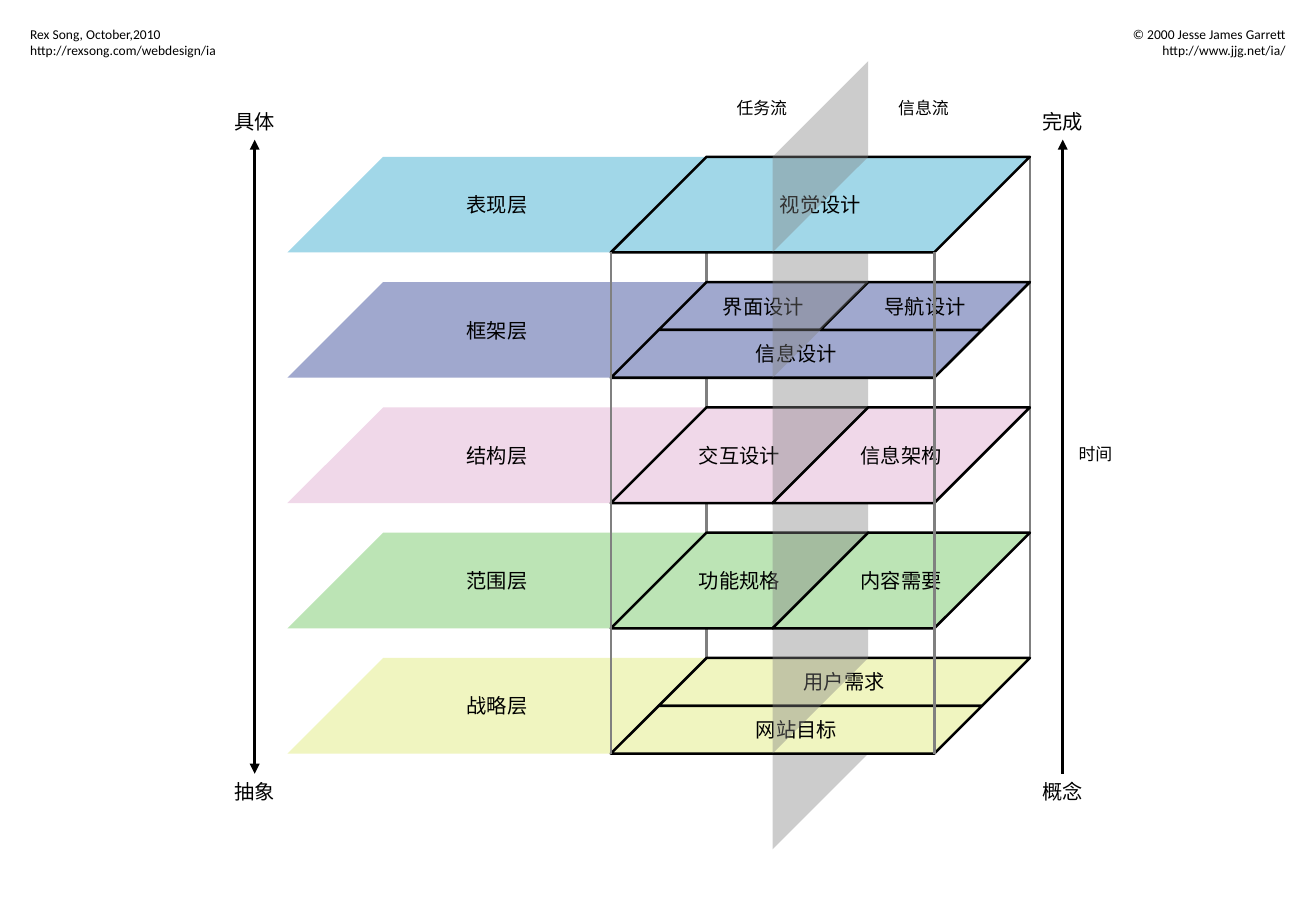
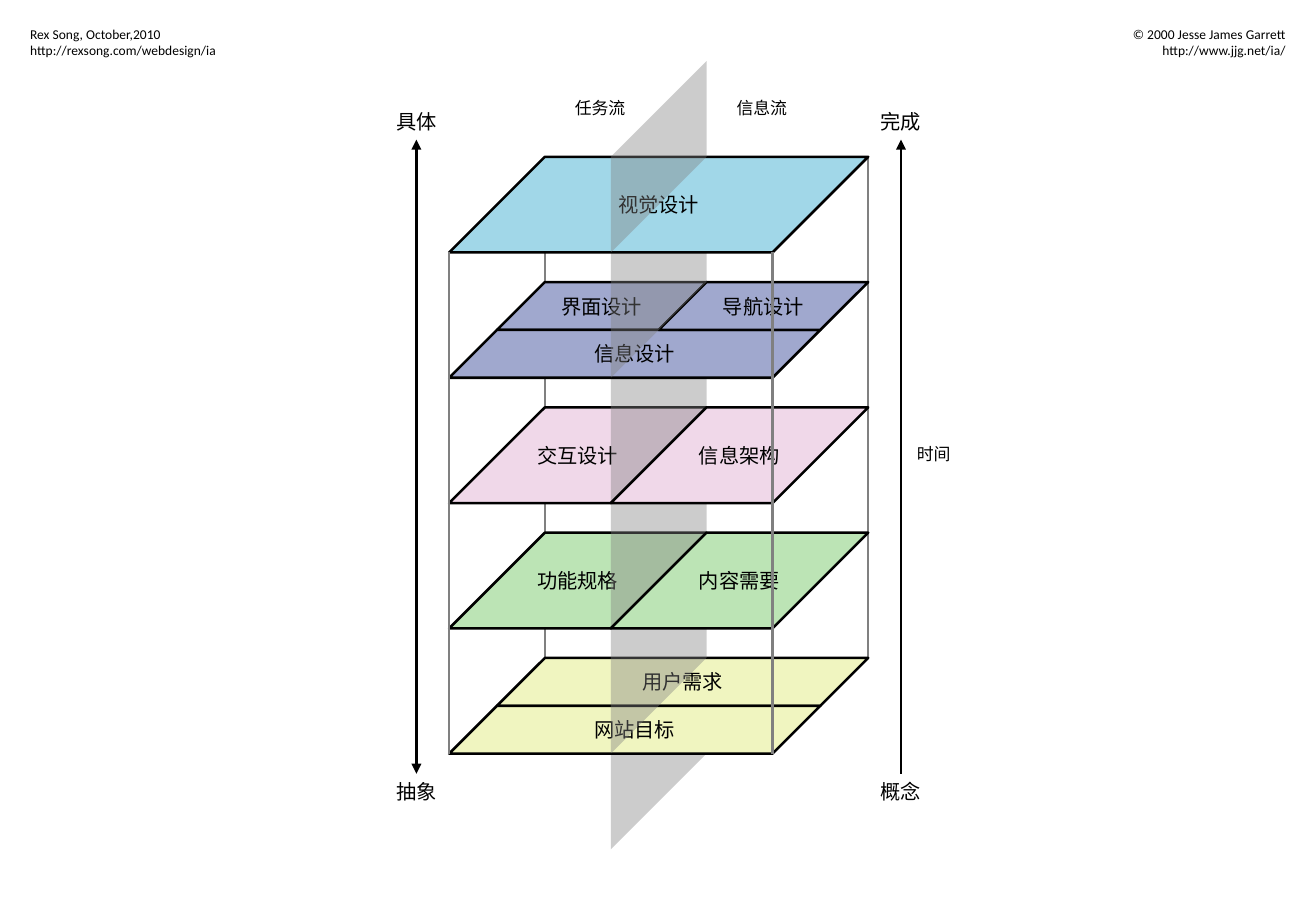
"""Build two slides of the five-plane web design diagram, with and without layer names."""
from dataclasses import dataclass

from lxml.etree import SubElement
from pptx import Presentation
from pptx.dml.color import RGBColor
from pptx.enum.shapes import MSO_CONNECTOR as Connector, MSO_SHAPE as Preset
from pptx.enum.text import MSO_ANCHOR as Anchor, PP_ALIGN as Align
from pptx.oxml.ns import qn
from pptx.util import Cm, Pt


@dataclass(frozen=True)
class Theme:
    """Colours, fonts, type sizes and line width."""
    ink: str = "000000"
    grey: str = "808080"
    plane_alpha: int = 40000
    chinese: str = "Noto Sans CJK SC"
    latin: str = "Calibri"
    label: int = 12
    note: int = 10
    credit: int = 8
    stroke: float = 1.5


THEME = Theme()

# Layer name, colour, cells behind the dividing plane, cells in front of it.
# Cell: text, left, right, back, front as fractions of the layer.
LAYERS = [
    ("表现层", "A1D7E8", [("视觉设计", 0, 1, 0, 1)], []),
    ("框架层", "A0A8CE", [("界面设计", 0, 0.5, 0, 0.5), ("信息设计", 0, 1, 0.5, 1),
                       ("导航设计", 0.5, 1, 0, 0.5)], []),
    ("结构层", "F0D8E9", [("交互设计", 0, 0.5, 0, 1)], [("信息架构", 0.5, 1, 0, 1)]),
    ("范围层", "BCE4B5", [("功能规格", 0, 0.5, 0, 1)], [("内容需要", 0.5, 1, 0, 1)]),
    ("战略层", "F0F5C0", [("用户需求", 0, 1, 0, 0.5), ("网站目标", 0, 1, 0.5, 1)], []),
]
FLOWS = ["任务流", "信息流"]
LEFT_AXIS = ("具体", "抽象")
RIGHT_AXIS = ("完成", "概念")
TIME = "时间"
AUTHOR = ["Rex Song, October,2010", "http://rexsong.com/webdesign/ia"]
SOURCE = ["© 2000 Jesse James Garrett", "http://www.jjg.net/ia/"]
DIAGRAMS = [(12.77, True), (9.39, False)]

PAGE_W, PAGE_H = 27.51, 19.05
SPAN, DEPTH, PITCH, TOP = 6.76, 2.0, 2.62, 3.28
AXIS_TOP, AXIS_END = 2.92, 16.18
END_W, END_H = 1.37, 0.76
MARGIN = 0.38


def rgb(value):
    return RGBColor.from_string(value)


def write(frame, lines, size, font=THEME.chinese, align=Align.CENTER, inset=0):
    frame.word_wrap = False
    frame.vertical_anchor = Anchor.MIDDLE
    frame.margin_top = frame.margin_bottom = 0
    frame.margin_left = frame.margin_right = Cm(inset)
    for number, line in enumerate(lines):
        paragraph = frame.add_paragraph() if number else frame.paragraphs[0]
        paragraph.alignment = align
        run = paragraph.add_run()
        run.text = line
        run.font.size = Pt(size)
        run.font.color.rgb = rgb(THEME.ink)
        run.font.name = font
        SubElement(run.font._element, qn("a:ea"), typeface=font)


def add_text(slide, lines, left, top, width, height, size, **style):
    box = slide.shapes.add_textbox(Cm(left), Cm(top), Cm(width), Cm(height))
    write(box.text_frame, lines, size, inset=0.25, **style)


def add_slant(slide, left, top, width, height, colour):
    slant = slide.shapes.add_shape(Preset.PARALLELOGRAM, Cm(left), Cm(top), Cm(width), Cm(height))
    slant.adjustments[0] = 1.0
    slant.shadow.inherit = False
    slant.fill.solid()
    slant.fill.fore_color.rgb = rgb(colour)
    slant.line.fill.background()
    return slant


def add_cell(slide, stack_left, layer_top, colour, cell):
    text, left, right, back, front = cell
    slant = add_slant(slide, stack_left + SPAN * left + DEPTH * (1 - front),
                      layer_top + DEPTH * back,
                      SPAN * (right - left) + DEPTH * (front - back),
                      DEPTH * (front - back), colour)
    slant.line.color.rgb = rgb(THEME.ink)
    slant.line.width = Pt(THEME.stroke)
    write(slant.text_frame, [text], THEME.label)


def add_plane(slide, left, top, height):
    middle_x, middle_y = left + DEPTH / 2, top + height / 2
    plane = add_slant(slide, middle_x - height / 2, middle_y - DEPTH / 2,
                      height, DEPTH, THEME.grey)
    plane.rotation = 90
    properties = plane.element.spPr
    properties.find(qn("a:xfrm")).set("flipV", "1")
    tint = properties.find(qn("a:solidFill")).find(qn("a:srgbClr"))
    SubElement(tint, qn("a:alpha"), val=str(THEME.plane_alpha))


def add_upright(slide, x, top, bottom, colour, arrows=()):
    upright = slide.shapes.add_connector(Connector.STRAIGHT, Cm(x), Cm(top), Cm(x), Cm(bottom))
    upright.line.color.rgb = rgb(colour)
    upright.line.width = Pt(THEME.stroke)
    properties = upright.element.spPr
    for arrow in arrows:
        SubElement(properties.find(qn("a:ln")), qn(arrow), type="triangle")
    SubElement(properties, qn("a:effectLst"))


def add_axis(slide, left, ends, arrows):
    add_upright(slide, left + END_W / 2, AXIS_TOP, AXIS_END, THEME.ink, arrows)
    for text, top in zip(ends, (AXIS_TOP - END_H, AXIS_END)):
        add_text(slide, [text], left, top, END_W, END_H, THEME.label)


def add_stack(slide, left, named):
    tops = [TOP + PITCH * number for number in range(len(LAYERS))]
    plane_left = left + SPAN / 2
    add_plane(slide, plane_left, tops[-1], 2 * DEPTH)
    if named:
        for (name, colour, _, _), top in zip(LAYERS, tops):
            band = add_slant(slide, left - SPAN, top, SPAN + DEPTH, DEPTH, colour)
            write(band.text_frame, [name], THEME.label)
    for x in (left, left + SPAN):
        add_upright(slide, x + DEPTH, tops[0], tops[-1], THEME.grey)
    for number in reversed(range(len(LAYERS))):
        _, colour, behind, ahead = LAYERS[number]
        for cell in behind:
            add_cell(slide, left, tops[number], colour, cell)
        rise = PITCH if number else DEPTH
        add_plane(slide, plane_left, tops[number] - rise, rise + DEPTH)
        for cell in ahead:
            add_cell(slide, left, tops[number], colour, cell)
    for x in (left, left + SPAN):
        add_upright(slide, x, tops[0] + DEPTH, tops[-1] + DEPTH, THEME.grey)
    for number, flow in enumerate(FLOWS):
        add_text(slide, [flow], left + 2.37 + number * SPAN / 2, 1.9, 1.57, 0.69, THEME.note)


def add_credits(slide):
    for lines, left, width, align in (
            (AUTHOR, MARGIN, 4.47, Align.LEFT),
            (SOURCE, PAGE_W - MARGIN - 3.71, 3.71, Align.RIGHT)):
        add_text(slide, lines, left, 0.41, width, 0.94, THEME.credit,
                 font=THEME.latin, align=align)


deck = Presentation()
deck.slide_width, deck.slide_height = Cm(PAGE_W), Cm(PAGE_H)
for stack_left, named in DIAGRAMS:
    slide = deck.slides.add_slide(deck.slide_layouts[6])
    add_stack(slide, stack_left, named)
    outer_left = stack_left - SPAN if named else stack_left
    stack_right = stack_left + SPAN + DEPTH
    add_axis(slide, outer_left - END_W, LEFT_AXIS, ("a:headEnd", "a:tailEnd"))
    add_axis(slide, stack_right, RIGHT_AXIS, ("a:headEnd",))
    add_text(slide, [TIME], stack_right + 0.76, 9.14, 1.22, 0.69, THEME.note)
    add_credits(slide)
deck.save("out.pptx")
